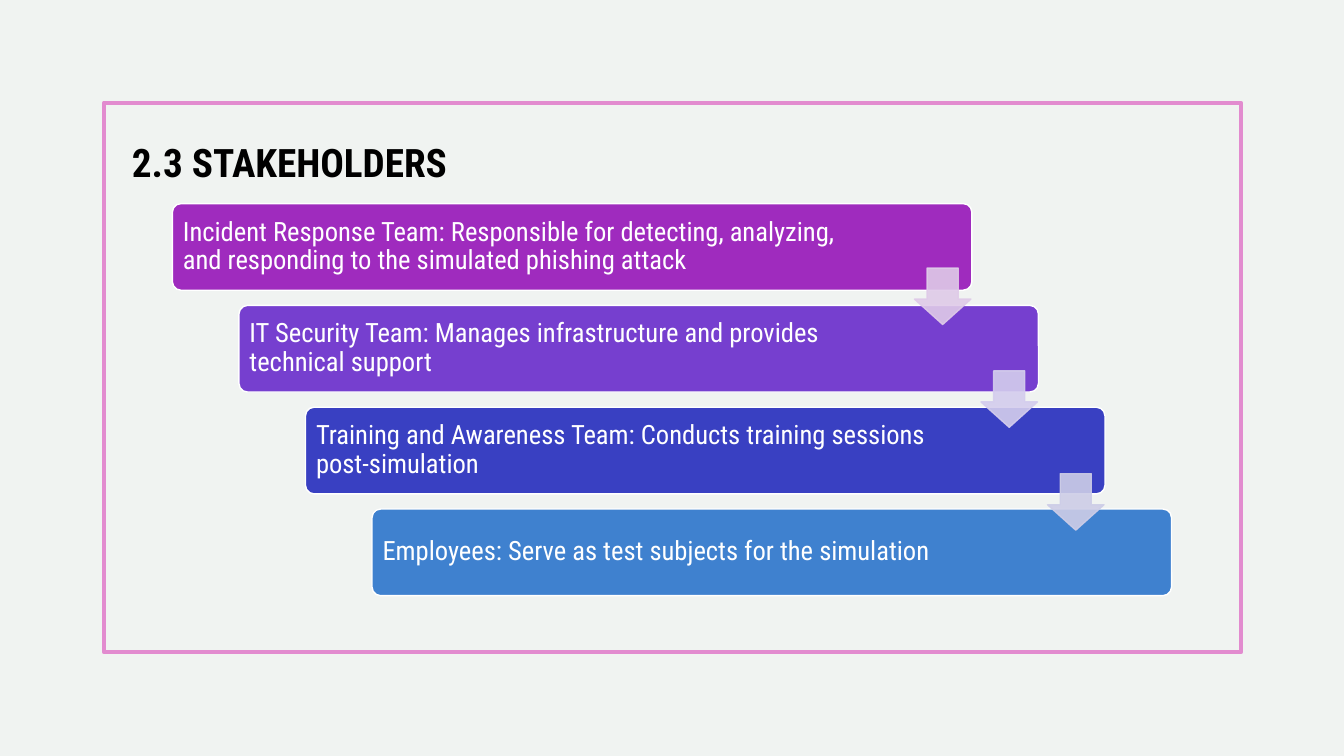
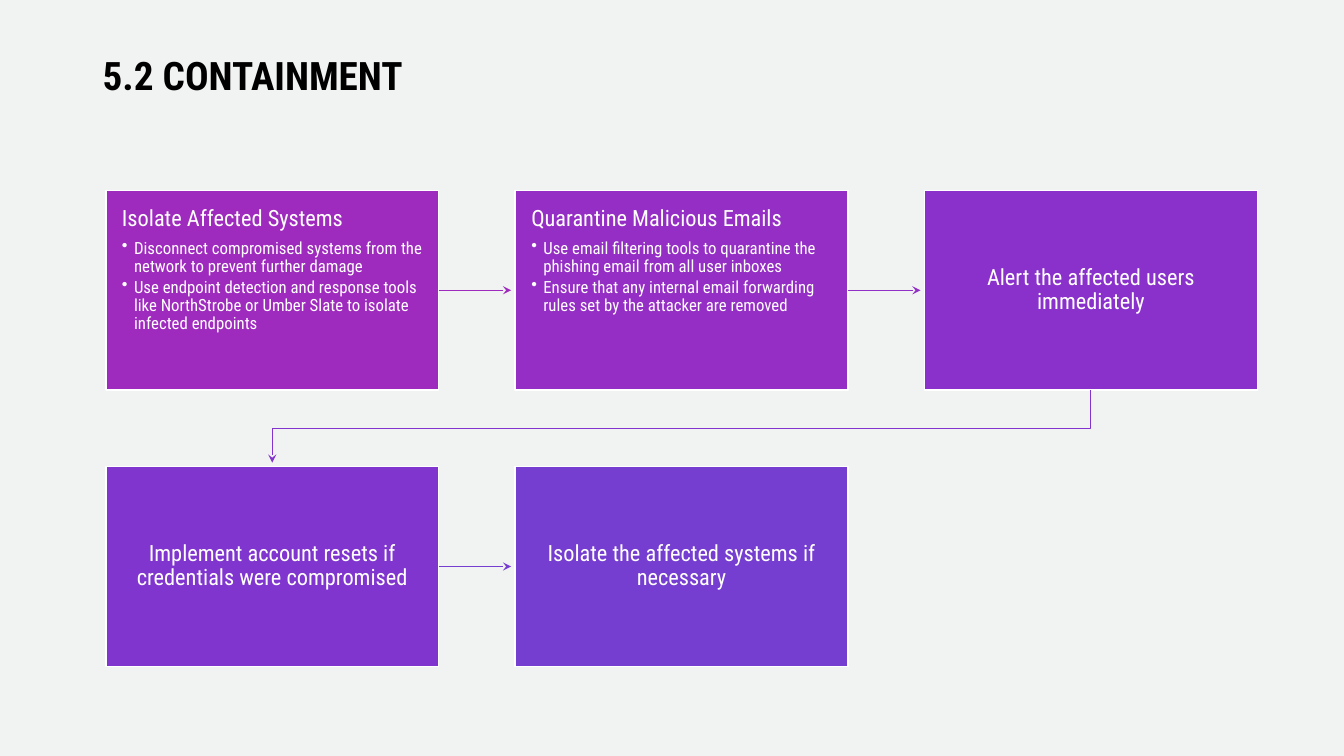
from lxml import etree
from pptx import Presentation
from pptx import util as u
from pptx.dml.color import RGBColor
from pptx.enum import shapes, text
from pptx.oxml import ns

FONT = "Roboto Condensed"
BACKGROUND, BLACK, WHITE, PINK = "F0F3F1", "000000", "FFFFFF", "E28BCF"
SHAPE = shapes.MSO_SHAPE
TOP, MIDDLE = text.MSO_ANCHOR.TOP, text.MSO_ANCHOR.MIDDLE
LEFT, CENTER = text.PP_ALIGN.LEFT, text.PP_ALIGN.CENTER
INSET_NAMES = ("margin_left", "margin_top", "margin_right", "margin_bottom")


def color(value):
    return RGBColor.from_string(value)


def apply(target, values):
    for name, value in values.items():
        setattr(target, name, value)


def add_child(parent, tag, **attributes):
    return etree.SubElement(parent, ns.qn(tag), attributes)


class SlideBuilder:
    """Holds the deck style and draws elements on the current slide."""

    def __init__(self):
        self.deck = Presentation()
        apply(self.deck, {"slide_width": u.Inches(13.33), "slide_height": u.Inches(7.5)})
        self.page = None

    def new_page(self):
        self.page = self.deck.slides.add_slide(self.deck.slide_layouts[6])
        fill = self.page.background.fill
        fill.solid()
        fill.fore_color.rgb = color(BACKGROUND)

    def frame(self, box, insets, anchor):
        values = dict(zip(INSET_NAMES, map(u.Inches, insets)))
        apply(box.text_frame, {"word_wrap": True, "vertical_anchor": anchor, **values})
        return box.text_frame.paragraphs[0]

    def add_text(self, para, words, size, ink=WHITE, bold=False, spacing=0.9, align=LEFT):
        apply(para, {"line_spacing": spacing, "alignment": align})
        span = para.add_run()
        span.text = words
        apply(span.font, {"name": FONT, "size": u.Pt(size), "bold": bold})
        span.font.color.rgb = color(ink)

    def title(self, words, place, anchor):
        box = self.page.shapes.add_textbox(*map(u.Inches, place))
        para = self.frame(box, (0.1, 0.05, 0.1, 0.05), anchor)
        self.add_text(para, words, 28, BLACK, True, 1.2)

    def shape(self, kind, place, fill, line, width=1, adjustments=()):
        box = self.page.shapes.add_shape(kind, *map(u.Inches, place))
        box.shadow.inherit = False
        for index, value in enumerate(adjustments):
            box.adjustments[index] = value
        if fill:
            box.fill.solid()
            box.fill.fore_color.rgb = color(fill)
        else:
            box.fill.background()
        self.stroke(box.line, line, width)
        return box

    def stroke(self, line, ink, width):
        line.color.rgb = color(ink)
        line.width = u.Pt(width)

    def step(self, words, place, fill):
        box = self.shape(SHAPE.ROUNDED_RECTANGLE, place, fill, WHITE, adjustments=[0.1])
        para = self.frame(box, (0.08, 0.08, 1.28, 0.08), MIDDLE)
        self.add_text(para, words, 19)

    def down_arrow(self, place, fill):
        arrow = self.shape(SHAPE.DOWN_ARROW, place, fill, fill, adjustments=[0.55, 0.45])
        for tint in arrow._element.spPr.iter(ns.qn("a:srgbClr")):
            add_child(tint, "a:alpha", val="90000")

    def card(self, heading, bullets, place, fill):
        box = self.shape(SHAPE.RECTANGLE, place, fill, WHITE)
        para = self.frame(box, (0.16, 0.17, 0.16, 0.17), TOP if bullets else MIDDLE)
        self.add_text(para, heading, 16, align=LEFT if bullets else CENTER)
        for index, words in enumerate(bullets):
            self.bullet(box.text_frame.add_paragraph(), words, 1.8 if index else 5.6)
        return box

    def bullet(self, para, words, space):
        apply(para, {"level": 1, "space_before": u.Pt(space), "line_spacing": 0.9})
        properties = para._p.get_or_add_pPr()
        indent = u.Inches(0.12)
        properties.set("marL", str(indent))
        properties.set("indent", str(-indent))
        add_child(add_child(properties, "a:buClr"), "a:srgbClr", val=WHITE)
        add_child(properties, "a:buChar", char="•")
        self.add_text(para, words, 12)

    def arrowhead(self, line):
        add_child(line.get_or_add_ln(), "a:tailEnd", type="stealth")

    def arrow_right(self, card, length, ink):
        start, level = card.left + card.width, card.top + card.height // 2
        arrow = self.page.shapes.add_connector(
            shapes.MSO_CONNECTOR.STRAIGHT, start, level, start + u.Inches(length), level)
        arrow.begin_connect(card, 3)
        self.stroke(arrow.line, ink, 0.75)
        self.arrowhead(arrow)
        add_child(arrow._element.spPr, "a:effectLst")

    def bent_arrow(self, points, ink):
        start, *others = [tuple(map(u.Inches, point)) for point in points]
        builder = self.page.shapes.build_freeform(*start)
        builder.add_line_segments(others, close=False)
        arrow = builder.convert_to_shape()
        arrow.shadow.inherit = False
        arrow.fill.background()
        self.stroke(arrow.line, ink, 0.75)
        self.arrowhead(arrow)


def stakeholders(slide):
    slide.new_page()
    slide.shape(SHAPE.RECTANGLE, (1.03, 1.02, 11.28, 5.45), None, PINK, 3)
    slide.title("2.3 STAKEHOLDERS", (1.21, 1.23, 7.93, 0.66), MIDDLE)
    steps = [
        ("Incident Response Team: Responsible for detecting, analyzing, "
         "and responding to the simulated phishing attack", "9F2BBE"),
        ("IT Security Team: Manages infrastructure and provides technical support", "763FCF"),
        ("Training and Awareness Team: Conducts training sessions post-simulation", "3940C2"),
        ("Employees: Serve as test subjects for the simulation", "3F81CF"),
    ]
    for index, (words, fill) in enumerate(steps):
        slide.step(words, (1.71 + 0.66 * index, 2.02 + 1.01 * index, 7.93, 0.86), fill)
    for index, fill in enumerate(("DFCAE8", "D4CDED", "CDCDE7")):
        slide.down_arrow((9.07 + 0.66 * index, 2.66 + 1.02 * index, 0.56, 0.56), fill)


def containment(slide):
    slide.new_page()
    slide.title("5.2 CONTAINMENT", (0.92, 0.37, 4.28, 0.64), TOP)
    left, top, width, height = 1.05, 1.89, 3.3, 1.98
    column_pitch, row_pitch, columns = 4.06, 2.74, 3
    actions = [
        ("Isolate Affected Systems", [
            "Disconnect compromised systems from the network to prevent further damage",
            "Use endpoint detection and response tools like NorthStrobe or Umber Slate "
            "to isolate infected endpoints"], "9F2BBE", "9F2BBE"),
        ("Quarantine Malicious Emails", [
            "Use email filtering tools to quarantine the phishing email from all user inboxes",
            "Ensure that any internal email forwarding rules set by the attacker are removed"],
         "952EC4", "922FC6"),
        ("Alert the affected users immediately", [], "8A30CB", None),
        ("Implement account resets if credentials were compromised", [], "8035CF", "753DD0"),
        ("Isolate the affected systems if necessary", [], "753DD0", None),
    ]
    for index, (heading, bullets, fill, arrow_ink) in enumerate(actions):
        row, column = divmod(index, columns)
        place = (left + column_pitch * column, top + row_pitch * row, width, height)
        card = slide.card(heading, bullets, place, fill)
        if arrow_ink:
            slide.arrow_right(card, 0.72, arrow_ink)
    first = left + width / 2
    last = first + column_pitch * (columns - 1)
    bottom = top + height
    turn = top + (row_pitch + height) / 2
    tip = top + row_pitch - 0.04
    slide.bent_arrow([(last, bottom), (last, turn), (first, turn), (first, tip)], "8333CE")


def main():
    slide = SlideBuilder()
    stakeholders(slide)
    containment(slide)
    slide.deck.save("out.pptx")


if __name__ == "__main__":
    main()
